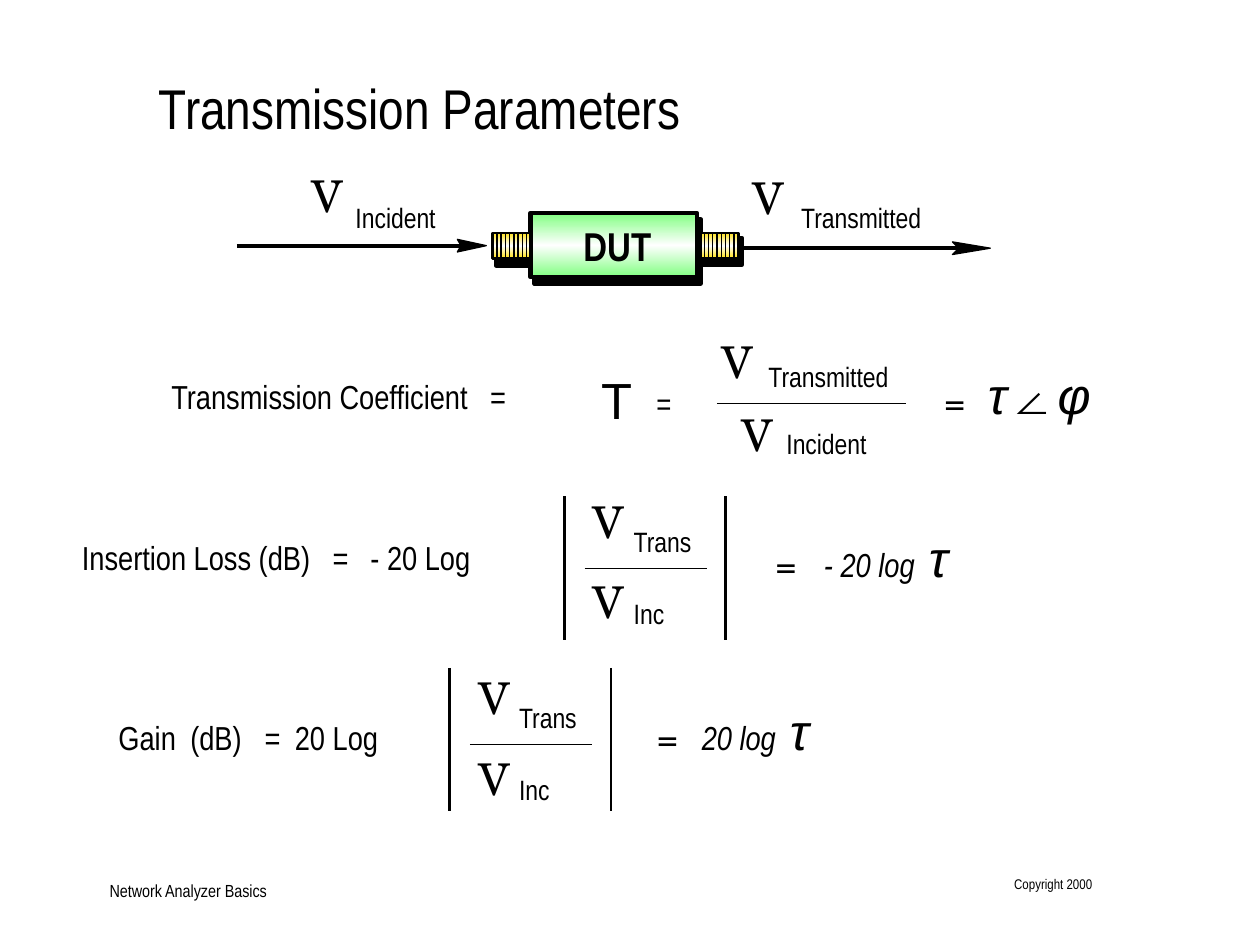
from copy import deepcopy
from dataclasses import dataclass

from pptx import Presentation
from pptx.dml.color import RGBColor
from pptx.enum.shapes import MSO_CONNECTOR, MSO_SHAPE
from pptx.enum.text import MSO_ANCHOR, PP_ALIGN
from pptx.oxml.ns import qn
from pptx.util import Inches, Pt

LEFT, CENTER, RIGHT = PP_ALIGN.LEFT, PP_ALIGN.CENTER, PP_ALIGN.RIGHT
TOP, BOTTOM = MSO_ANCHOR.TOP, MSO_ANCHOR.BOTTOM
STRAIGHT = MSO_CONNECTOR.STRAIGHT
RECTANGLE = MSO_SHAPE.RECTANGLE


@dataclass(frozen=True)
class Theme:
    ink: RGBColor = RGBColor(0, 0, 0)
    white: RGBColor = RGBColor(255, 255, 255)
    green: RGBColor = RGBColor(0x80, 0xFF, 0x80)
    gold: RGBColor = RGBColor(0xFF, 0xE1, 0x18)
    narrow: str = "Arial Narrow"
    sans: str = "Arial"
    serif: str = "TeX Gyre Schola"
    title: int = 32
    symbol: int = 29
    volt: int = 25
    device: int = 23
    body: int = 19
    equals: int = 18
    label: int = 16
    footer: int = 10
    copyright: int = 8


T = Theme()


def set_font(font, size, name, bold=False, italic=False):
    font.size = Pt(size)
    font.name = name
    font.bold = bold
    font.italic = italic
    font.color.rgb = T.ink


def add_tabs(p, stops):
    tab_list = p._p.get_or_add_pPr().makeelement(qn("a:tabLst"), {})
    for stop in stops:
        tab = tab_list.makeelement(qn("a:tab"), {"pos": str(Inches(stop)), "algn": "l"})
        tab_list.append(tab)
    p._p.get_or_add_pPr().append(tab_list)


def add_box(s, x, y, w, h, align=LEFT, anchor=BOTTOM, tabs=()):
    """Add an empty text box without margins and return its paragraph."""
    tf = s.shapes.add_textbox(Inches(x), Inches(y), Inches(w), Inches(h)).text_frame
    tf.margin_left = tf.margin_right = tf.margin_top = tf.margin_bottom = 0
    tf.word_wrap = True
    tf.vertical_anchor = anchor
    p = tf.paragraphs[0]
    p.alignment = align
    if tabs:
        add_tabs(p, tabs)
    return p


def add_text(s, text, x, y, w, h, size, name=T.narrow, bold=False, **box):
    p = add_box(s, x, y, w, h, **box)
    p.text = text
    set_font(p.font, size, name, bold)


def add_result(s, x, y, tab, symbols, factor=""):
    """Add an italic right-hand side: equals sign, optional factor, symbols."""
    p = add_box(s, x, y, 1.9, 0.49, tabs=[tab])
    parts = [("=\t", T.body, T.serif), (factor, T.body, T.narrow),
             (symbols, T.symbol, T.sans)]
    for text, size, name in parts:
        if text:
            r = p.add_run()
            r.text = text
            set_font(r.font, size, name, italic=True)


def add_line(s, x1, y1, x2, y2, width=0.75):
    line = s.shapes.add_connector(STRAIGHT, Inches(x1), Inches(y1), Inches(x2), Inches(y2))
    line.line.color.rgb = T.ink
    line.line.width = Pt(width)
    sp_pr = line._element.spPr
    sp_pr.append(sp_pr.makeelement(qn("a:effectLst"), {}))


def style_shape(sp, width):
    sp.shadow.inherit = False
    sp.line.color.rgb = T.ink
    sp.line.width = Pt(width)


def add_block(s, x, y, w, h, width=2.5, edge=None):
    """Add a rectangle: solid ink, or a vertical sheen from an edge colour."""
    sp = s.shapes.add_shape(RECTANGLE, Inches(x), Inches(y), Inches(w), Inches(h))
    if edge is None:
        sp.fill.solid()
        sp.fill.fore_color.rgb = T.ink
    else:
        sp.fill.gradient()
        stops = sp._element.spPr.find(".//" + qn("a:gsLst"))
        stops.append(deepcopy(stops[-1]))
        for i, (stop, color) in enumerate(zip(sp.fill.gradient_stops, (edge, T.white, edge))):
            stop.position = i / 2
            stop.color.rgb = color
        sp.fill.gradient_angle = 90
    style_shape(sp, width)


def add_arrow(s, x1, tip, y, length, notch):
    """Add a shaft with a swept-back head ending at tip."""
    add_line(s, x1, y, tip - notch, y, 2.5)
    points = [(tip - length, y - 0.05), (tip - notch, y), (tip - length, y + 0.05)]
    builder = s.shapes.build_freeform(Inches(tip), Inches(y))
    builder.add_line_segments([(Inches(px), Inches(py)) for px, py in points], close=True)
    sp = builder.convert_to_shape()
    sp.fill.solid()
    sp.fill.fore_color.rgb = T.ink
    style_shape(sp, 0.75)


def add_voltage(s, x, y, label, label_x, label_y, label_w, align=CENTER):
    add_text(s, "V", x, y, 0.26, 0.43, T.volt, T.serif, align=CENTER)
    add_text(s, label, label_x, label_y, label_w, 0.27, T.label, align=align)


def add_ratio(s, x, y, bar_top):
    """Add the voltage ratio between magnitude bars; x is the left bar."""
    add_voltage(s, x + 0.22, y, "Trans", x + 0.55, y + 0.25, 0.7, LEFT)
    add_voltage(s, x + 0.22, y + 0.64, "Inc", x + 0.55, y + 0.82, 0.7, LEFT)
    add_line(s, x + 0.16, y + 0.6, x + 1.13, y + 0.6)
    for bar_x in (x, x + 1.28):
        add_line(s, bar_x, bar_top, bar_x, bar_top + 1.14, 1.5)


def add_connector_thread(s, x):
    add_block(s, x, 1.85, 0.3, 0.2, 1.5, T.gold)


def add_grooves(s, x):
    for i in range(9):
        groove_x = x + i * 0.27 / 8
        add_line(s, groove_x, 1.85, groove_x, 2.05)


def add_device(s):
    # Offset black blocks behind the body and both threads
    for block in ((4.24, 1.74, 1.32, 0.51), (3.94, 1.86, 0.3, 0.25), (5.57, 1.89, 0.32, 0.21)):
        add_block(s, *block)
    add_block(s, 4.21, 1.69, 1.32, 0.51, edge=T.green)
    add_text(s, "DUT", 4.52, 1.74, 0.76, 0.4, T.device, bold=True, align=CENTER)
    for thread_x, groove_x in ((5.56, 5.59), (3.91, 3.91)):
        add_connector_thread(s, thread_x)
        add_grooves(s, groove_x)


def main():
    prs = Presentation()
    prs.slide_width, prs.slide_height = Inches(10), Inches(7.5)
    s = prs.slides.add_slide(prs.slide_layouts[6])

    # Title and footer
    add_text(s, "Network Analyzer Basics", 0.87, 6.97, 2.67, 0.18, T.footer)
    add_text(s, "Copyright 2000", 7.67, 6.95, 1, 0.25, T.copyright, align=RIGHT, anchor=TOP)
    add_text(s, "Transmission Parameters", 1.26, 0.58, 8.4, 0.51, T.title, anchor=TOP)

    # Signal path through the device
    add_arrow(s, 1.88, 3.86, 1.95, 0.23, 0.2)
    add_arrow(s, 5.58, 7.86, 1.97, 0.3, 0.25)
    add_voltage(s, 5.97, 1.34, "Transmitted", 6.19, 1.59, 1.29)
    add_voltage(s, 2.47, 1.33, "Incident", 2.71, 1.59, 0.86)
    add_device(s)

    # Transmission coefficient
    add_text(s, "Transmission Coefficient\t=", 1.36, 2.89, 3.77, 0.41, T.body, tabs=[2.53])
    add_text(s, "Τ", 4.77, 2.79, 0.49, 0.62, T.symbol, T.sans)
    add_text(s, "=", 5.21, 3.05, 0.16, 0.3, T.equals)
    add_voltage(s, 5.72, 2.64, "Transmitted", 5.93, 2.85, 1.29)
    add_line(s, 5.69, 3.2, 7.19, 3.2)
    add_voltage(s, 5.88, 3.22, "Incident", 6.13, 3.38, 0.86)
    add_result(s, 7.5, 2.88, 0.34, "τ∠φ")

    # Insertion loss
    add_text(s, "Insertion Loss (dB)\t=\t- 20 Log", 0.65, 4.01, 4.08, 0.57, T.body,
             tabs=[1.99, 2.29])
    add_ratio(s, 4.48, 3.91, 3.94)
    add_result(s, 6.16, 4.17, 0.38, " τ", "- 20 log")

    # Gain
    add_text(s, "Gain\t(dB)\t=\t20 Log", 0.94, 5.44, 2.79, 0.57, T.body,
             tabs=[0.57, 1.16, 1.4])
    add_ratio(s, 3.57, 5.31, 5.3)
    add_result(s, 5.22, 5.55, 0.35, " τ", "20 log")

    prs.save("out.pptx")


if __name__ == "__main__":
    main()
